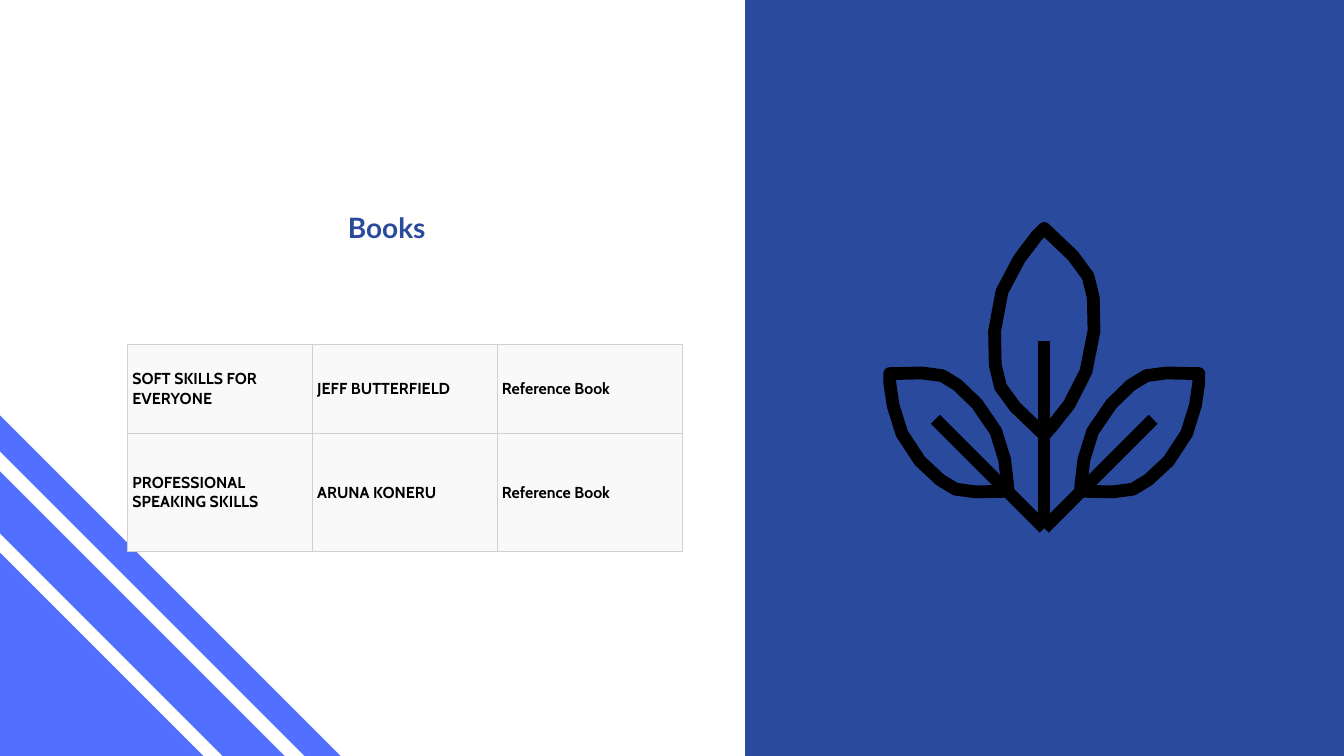
import pptx
import pptx.dml.color
import pptx.enum.text
import pptx.oxml
import pptx.oxml.ns
import pptx.util
from pptx.util import Inches

BLUE, NAVY, WHITE, BLACK = "5270FF", "2A4A9D", "FFFFFF", "000000"
WIDTH, HEIGHT = 20, 11.25


def color(hex_code):
    return pptx.dml.color.RGBColor.from_string(hex_code)


def draw(outlines, fill=None, line=None):
    """Draw (points, closed) outlines, in inches, as one freeform."""
    builder = None
    for points, closed in outlines:
        corners = [(Inches(x), Inches(y)) for x, y in points]
        if builder is None:
            builder = slide.shapes.build_freeform(*corners[0])
        else:
            builder.move_to(*corners[0])
        builder.add_line_segments(corners[1:], close=closed)
    shape = builder.convert_to_shape()
    shape.shadow.inherit = False
    if fill:
        shape.fill.solid()
        shape.fill.fore_color.rgb = color(fill)
    else:
        shape.fill.background()
    if line:
        shape.line.color.rgb = color(line)
        shape.line.width = pptx.util.Pt(13.7)
    else:
        shape.line.fill.background()


presentation = pptx.Presentation()
presentation.slide_width = Inches(WIDTH)
presentation.slide_height = Inches(HEIGHT)
slide = presentation.slides.add_slide(presentation.slide_layouts[6])

# Striped corner: a blue triangle crossed by two white bands
for outer, inner, fill in [(5.07, 0, BLUE), (4.53, 4.24, WHITE), (3.31, 3.03, WHITE)]:
    band = [(0, HEIGHT - outer), (outer, HEIGHT), (inner, HEIGHT), (0, HEIGHT - inner)]
    draw([(band, True)], fill=fill)

# Heading
heading = slide.shapes.add_textbox(Inches(1.63), Inches(2.66), Inches(8.25), Inches(0.99))
frame = heading.text_frame
frame.word_wrap = True
frame.margin_left = frame.margin_right = frame.margin_bottom = 0
frame.margin_top = Inches(0.48)
frame.text = "Books"
frame.paragraphs[0].alignment = pptx.enum.text.PP_ALIGN.CENTER
font = frame.paragraphs[0].runs[0].font
font.name, font.size, font.bold = "Lato", pptx.util.Pt(30), True
font.color.rgb = color(NAVY)

# Right panel
panel_left = 11.08
draw([([(panel_left, 0), (WIDTH, 0), (WIDTH, HEIGHT), (panel_left, HEIGHT)], True)], fill=NAVY)

# Plant: upright leaf, its stem, and a side leaf mirrored about the axis
axis, root = 15.54, 7.86
upright_leaf = [
    (16.28, 4.93), (16.16, 5.53), (15.91, 6.02), (15.65, 6.35), (15.54, 6.47), (15.11, 6.06),
    (14.89, 5.76), (14.81, 5.43), (14.8, 4.93), (14.91, 4.34), (15.17, 3.85), (15.42, 3.52),
    (15.54, 3.4), (15.97, 3.81), (16.19, 4.11), (16.27, 4.43),
]
side_leaf = [
    (14.54, 6.01), (14.82, 6.42), (14.95, 6.84), (14.99, 7.18), (15, 7.31), (14.52, 7.32),
    (14.22, 7.28), (13.99, 7.14), (13.69, 6.86), (13.42, 6.45), (13.29, 6.03), (13.24, 5.69),
    (13.24, 5.56), (13.72, 5.55), (14.02, 5.59), (14.25, 5.73),
]
side_stem = [(13.92, 6.24), (axis, root)]
draw([(upright_leaf, True)], line=BLACK)
draw([([(15.44, 5.08), (15.63, 5.08), (15.63, root), (15.44, root)], True)], fill=BLACK)
left_half = [(side_leaf, True), (side_stem, False)]
right_half = [([(2 * axis - x, y) for x, y in points], closed) for points, closed in left_half]
draw(left_half + right_half, line=BLACK)

# Book table
books = [
    ("SOFT SKILLS FOR EVERYONE", "JEFF BUTTERFIELD", "Reference Book"),
    ("PROFESSIONAL SPEAKING SKILLS", "ARUNA KONERU", "Reference Book"),
]
table = slide.shapes.add_table(
    2, 3, Inches(1.9), Inches(5.12), Inches(8.25), Inches(3.09)
).table
table.first_row = table.horz_banding = False
for column in table.columns:
    column.width = Inches(2.75)
for row, height, book in zip(table.rows, (1.33, 1.76), books):
    row.height = Inches(height)
    for cell, entry in zip(row.cells, book):
        cell.text_frame.text = entry
        cell.vertical_anchor = pptx.enum.text.MSO_ANCHOR.MIDDLE
        cell.margin_left = cell.margin_right = Inches(0.07)
        cell.margin_top = cell.margin_bottom = Inches(0.05)
        cell.fill.solid()
        cell.fill.fore_color.rgb = color("F9F9F9")
        font = cell.text_frame.paragraphs[0].runs[0].font
        font.name, font.size, font.bold = "Cabin", pptx.util.Pt(17), True
        font.color.rgb = color(BLACK)
        # Borders come before the fill in the cell properties
        properties = cell._tc.get_or_add_tcPr()
        for position, side in enumerate(("lnL", "lnR", "lnT", "lnB")):
            properties.insert(position, pptx.oxml.parse_xml(
                f'<a:{side} {pptx.oxml.ns.nsdecls("a")} w="{pptx.util.Pt(0.75)}">'
                f'<a:solidFill><a:srgbClr val="D1CFCF"/></a:solidFill></a:{side}>'
            ))

presentation.save("out.pptx")
